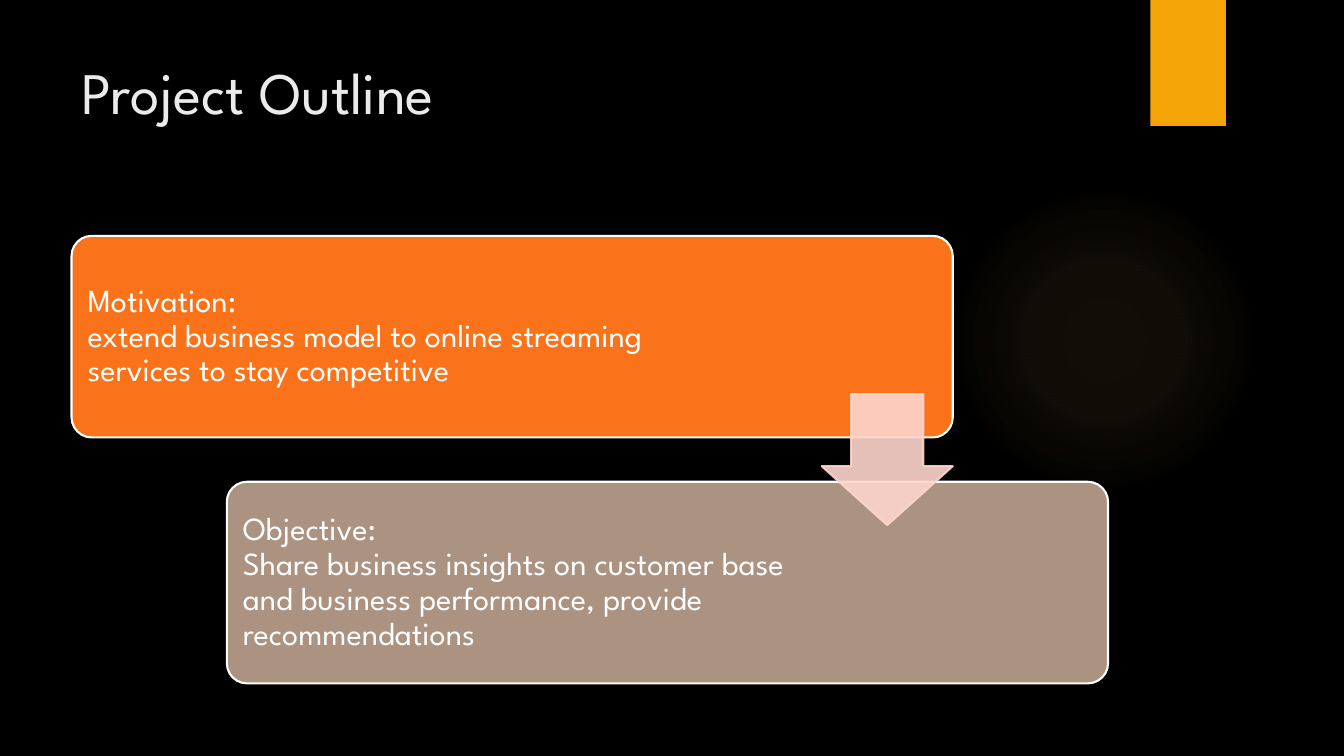
from lxml import etree
from pptx import Presentation
from pptx.dml.color import RGBColor as Rgb
from pptx.enum.shapes import MSO_SHAPE as Shape
from pptx.enum.text import MSO_ANCHOR as Anchor, MSO_AUTO_SIZE as Fit, PP_ALIGN as Align
from pptx.oxml import parse_xml
from pptx.oxml.ns import nsdecls, qn
from pptx.util import Inches, Pt

FONT = "League Spartan"
COLORS = {
    "back": "000000", "glow": "FAC96A", "tab": "F5A408", "title": "EBEBEB",
    "text": "FFFFFF", "why": "FA731A", "goal": "AB9281", "arrow": "FDD5CD",
}
CARD_W, CARD_H = 8.74, 2
CARDS = [
    (0.71, 2.34, 6.68, "why",
     "Motivation: \nextend business model to online streaming services to stay competitive"),
    (2.25, 4.78, 5.78, "goal",
     "Objective:\nShare business insights on customer base and business performance, "
     "provide recommendations"),
]


def color(name):
    return Rgb.from_string(COLORS[name])


def add_form(slide, kind, box, fill, line=None):
    form = slide.shapes.add_shape(kind, *map(Inches, box))
    form.shadow.inherit = False
    form.fill.solid()
    form.fill.fore_color.rgb = color(fill)
    if line:
        form.line.color.rgb = color(line)
        form.line.width = Pt(1.5)
    else:
        form.line.fill.background()
    return form


def style(part, size, name):
    for run in part.runs:
        run.font.name = FONT
        run.font.size = Pt(size)
        run.font.color.rgb = color(name)


def add_decor(slide):
    # Soft glow that fades out from its centre
    glow = add_form(slide, Shape.OVAL, (9.41, 1.83, 3.08, 3.08), "glow")
    stops = "".join(
        f'<a:gs pos="{pos * 1000}"><a:srgbClr val="{COLORS["glow"]}">'
        f'<a:alpha val="{alpha * 1000}"/></a:srgbClr></a:gs>'
        for pos, alpha in ((0, 7), (36, 6), (69, 0)))
    fade = parse_xml(
        f'<a:gradFill {nsdecls("a")}><a:gsLst>{stops}</a:gsLst><a:path path="circle">'
        '<a:fillToRect l="50000" t="50000" r="50000" b="50000"/></a:path></a:gradFill>')
    props = glow.element.spPr
    props.replace(props.find(qn("a:solidFill")), fade)
    # Tab at the top edge
    add_form(slide, Shape.RECTANGLE, (11.41, 0, 0.75, 1.25), "tab")


def add_title(slide, box, text):
    title = slide.shapes.title
    title.left, title.top, title.width, title.height = map(Inches, box)
    frame = title.text_frame
    frame.text = text
    frame.auto_size = Fit.NONE
    frame.vertical_anchor = Anchor.TOP
    part = frame.paragraphs[0]
    part.alignment = Align.LEFT
    style(part, 42, "title")


def add_card(slide, left, top, wide, fill, text):
    card = add_form(slide, Shape.ROUNDED_RECTANGLE, (left, top, CARD_W, CARD_H), fill, "text")
    card.adjustments[0] = 0.1
    # Text sits just inside the card's edge
    pad = 0.06
    label = slide.shapes.add_textbox(
        *map(Inches, (left + pad, top + pad, wide, CARD_H - 2 * pad)))
    frame = label.text_frame
    frame.word_wrap = True
    frame.vertical_anchor = Anchor.MIDDLE
    frame.margin_left = frame.margin_right = Inches(0.1)
    frame.margin_top = frame.margin_bottom = Inches(0.1)
    part = frame.paragraphs[0]
    part.text = text
    part.line_spacing = 0.9
    style(part, 23, "text")


def add_arrow(slide, box):
    arrow = add_form(slide, Shape.DOWN_ARROW, box, "arrow", "arrow")
    arrow.adjustments[0] = 0.55
    arrow.adjustments[1] = 0.45
    # Let the cards show through a little
    for tint in arrow.element.spPr.iter(qn("a:srgbClr")):
        etree.SubElement(tint, qn("a:alpha")).set("val", "90000")


def main():
    deck = Presentation()
    deck.slide_width, deck.slide_height = Inches(13.33), Inches(7.5)
    slide = deck.slides.add_slide(deck.slide_layouts[5])
    slide.background.fill.solid()
    slide.background.fill.fore_color.rgb = color("back")
    add_decor(slide)
    add_title(slide, (0.71, 0.5, 10.29, 1.53), "Project Outline")
    for card in CARDS:
        add_card(slide, *card)
    # Arrow ends flush with the first card and spans the gap
    size = 1.3
    left, top = CARDS[0][:2]
    gap_mid = (top + CARD_H + CARDS[1][1]) / 2
    add_arrow(slide, (left + CARD_W - size, gap_mid - size / 2, size, size))
    deck.save("out.pptx")


if __name__ == "__main__":
    main()
